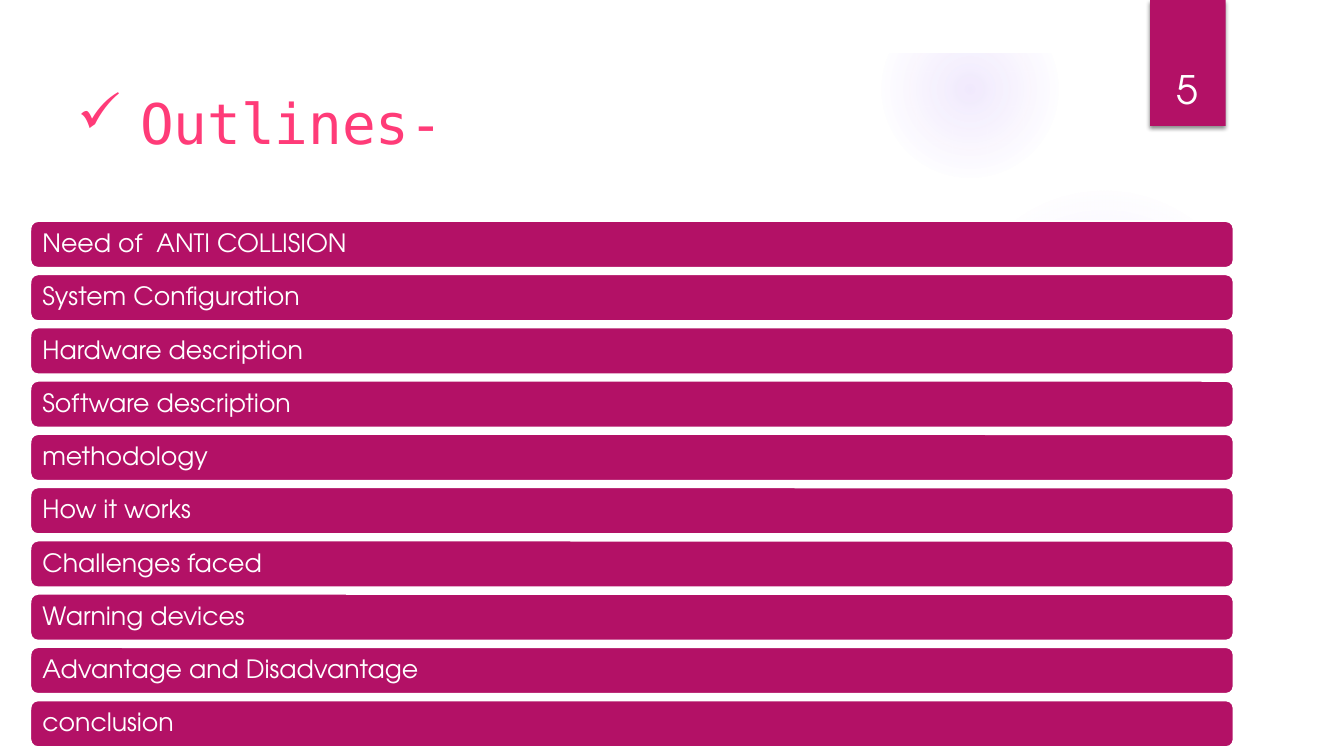
from pptx import Presentation, util as u
from pptx.dml.color import RGBColor
from pptx.enum import shapes, text
from pptx.oxml import parse_xml
from pptx.oxml.ns import nsdecls

COLUMNS, ROWS = 80, 45
CELL = u.Inches(1) // 6
MAGENTA = RGBColor(0xB3, 0x11, 0x66)
PINK = RGBColor(0xFF, 0x3B, 0x78)
VIOLET = RGBColor(0x9B, 0x6B, 0xF2)
WHITE = RGBColor(0xFF, 0xFF, 0xFF)
BLACK = RGBColor(0, 0, 0)
HEADING_FONT = "DejaVu Sans Mono"
BODY_FONT = "TeX Gyre Adventor"

TOPICS = [
    "Need of  ANTI COLLISION",
    "System Configuration",
    "Hardware description",
    "Software description",
    "methodology",
    "How it works",
    "Challenges faced",
    "Warning devices",
    "Advantage and Disadvantage",
    "conclusion",
]
PAGE_EDGE = [
    (3, 12.24), (11.22, 13.26), (24.06, 14.28), (40.92, 14.88), (56.94, 14.46),
    (66.96, 13.62), (77.04, 12.24), (77.04, 42), (3, 42),
]


def cells(*counts):
    return [u.Emu(round(count * CELL)) for count in counts]


def paint(shape, color):
    shape.shadow.inherit = False
    shape.fill.solid()
    shape.fill.fore_color.rgb = color
    shape.line.fill.background()
    return shape


def add_block(slide, kind, area, color):
    return paint(slide.shapes.add_shape(kind, *cells(*area)), color)


def add_glow(slide, area, stops):
    glow = add_block(slide, shapes.MSO_SHAPE.OVAL, area, VIOLET)
    marks = "".join(
        f'<a:gs pos="{place * 1000}"><a:srgbClr val="{VIOLET}">'
        f'<a:alpha val="{opacity * 1000}"/></a:srgbClr></a:gs>'
        for place, opacity in stops
    )
    gradient = parse_xml(
        f'<a:gradFill {nsdecls("a")} rotWithShape="1"><a:gsLst>{marks}</a:gsLst>'
        '<a:path path="circle"><a:fillToRect l="50000" t="50000" r="50000" b="50000"/>'
        '</a:path></a:gradFill>'
    )
    solid = glow._element.spPr.find("{*}solidFill")
    solid.getparent().replace(solid, gradient)


def add_page(slide):
    start, *rest = [cells(*point) for point in PAGE_EDGE]
    outline = slide.shapes.build_freeform(*start)
    outline.add_line_segments(rest, close=True)
    paint(outline.convert_to_shape(), WHITE)
    border = add_block(slide, shapes.MSO_SHAPE.FRAME, (0, 0, COLUMNS, ROWS), WHITE)
    border.adjustments[0] = 0.07


def add_number_tab(slide):
    tab = add_block(slide, shapes.MSO_SHAPE.RECTANGLE, (68.46, 0, 4.5, 7.5), MAGENTA)
    tab._element.spPr.find("{*}effectLst").append(parse_xml(
        f'<a:outerShdw {nsdecls("a")} blurRad="{u.Pt(3)}" dist="{u.Pt(2)}" '
        f'dir="5400000" rotWithShape="0"><a:srgbClr val="{BLACK}">'
        '<a:alpha val="45000"/></a:srgbClr></a:outerShdw>'
    ))


def write(frame, words, font, size, color, anchor, align=text.PP_ALIGN.LEFT):
    frame.word_wrap = True
    frame.vertical_anchor = anchor
    paragraph = frame.paragraphs[0]
    paragraph.alignment = align
    run = paragraph.add_run()
    run.text = words
    run.font.name = font
    run.font.size = u.Pt(size)
    run.font.color.rgb = color
    return paragraph


def add_topic(slide, row, words):
    area = (1.8, 13.15 + 3.17 * row, 71.64, 2.8)
    bar = add_block(slide, shapes.MSO_SHAPE.ROUNDED_RECTANGLE, area, MAGENTA)
    bar.line.color.rgb = WHITE
    bar.line.width = u.Pt(1.5)
    frame = bar.text_frame
    frame.margin_left = frame.margin_right = cells(0.6)[0]
    frame.margin_top = frame.margin_bottom = cells(0.42)[0]
    topic = write(frame, words, BODY_FONT, 18, WHITE, text.MSO_ANCHOR.MIDDLE)
    topic.line_spacing = 0.9


def add_title(slide):
    frame = slide.shapes.add_textbox(*cells(4, 5, 54.5, 4.6)).text_frame
    title = write(frame, "Outlines-", HEADING_FONT, 40, PINK, text.MSO_ANCHOR.TOP)
    indent = cells(3.75)[0]
    properties = title._p.get_or_add_pPr()
    properties.set("marL", str(indent))
    properties.set("indent", str(-indent))
    properties.append(parse_xml(f'<a:buChar {nsdecls("a")} char="✓"/>'))


def add_number(slide):
    frame = slide.shapes.add_textbox(*cells(67.9, 1.9, 5.5, 5.06)).text_frame
    write(frame, "5", BODY_FONT, 28, WHITE, text.MSO_ANCHOR.BOTTOM, text.PP_ALIGN.CENTER)


def main():
    deck = Presentation()
    deck.slide_width, deck.slide_height = cells(COLUMNS, ROWS)
    slide = deck.slides.add_slide(deck.slide_layouts[6])
    add_glow(slide, (56.45, 11, 18.5, 18.5), [(0, 7), (36, 6), (69, 0)])
    add_glow(slide, (52.5, 0.06, 10.5, 10.5), [(0, 14), (36, 7), (73, 0)])
    add_page(slide)
    add_number_tab(slide)
    for row, words in enumerate(TOPICS):
        add_topic(slide, row, words)
    add_title(slide)
    add_number(slide)
    deck.save("out.pptx")


if __name__ == "__main__":
    main()
